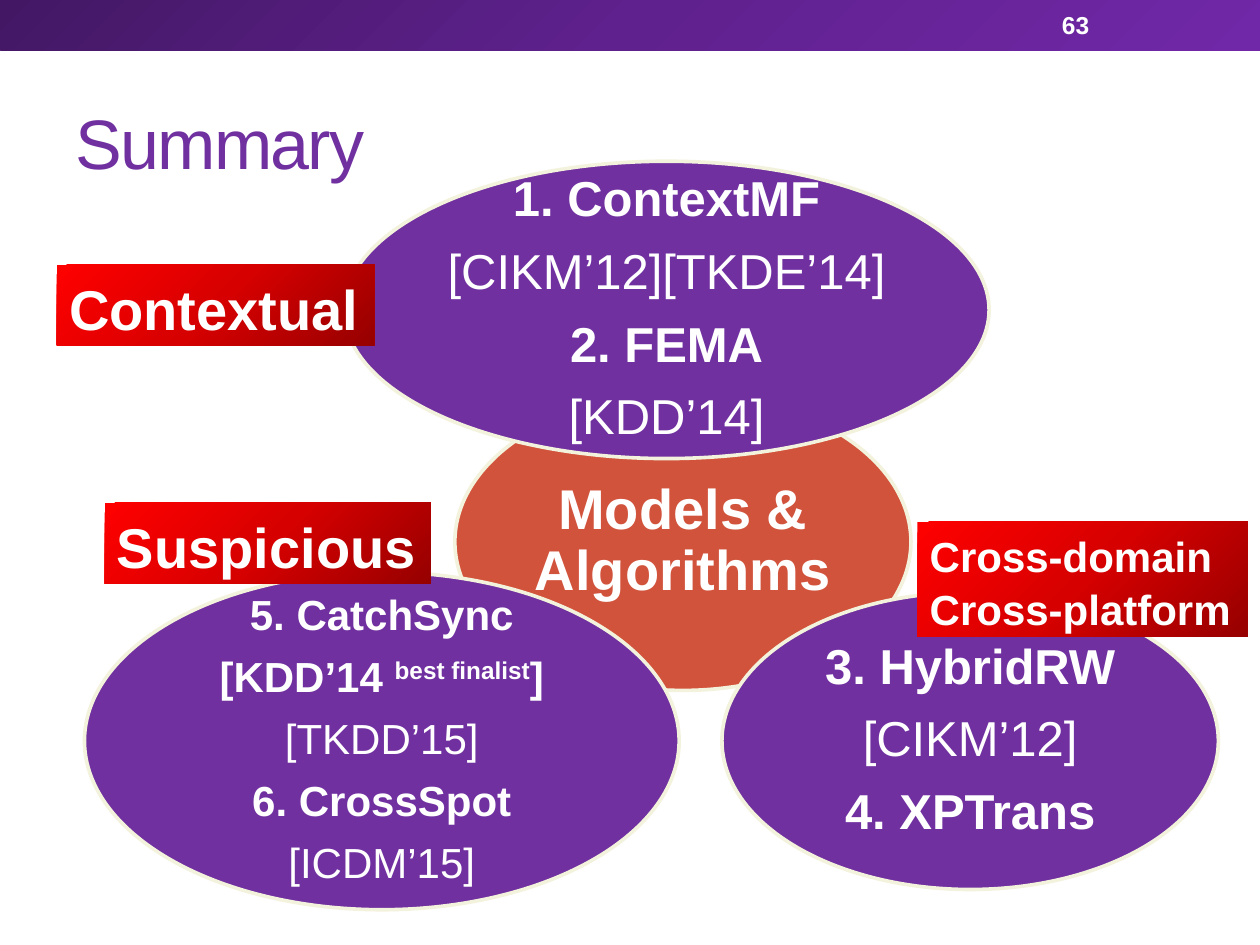
from lxml import etree
from pptx import Presentation, util as u
from pptx.dml.color import RGBColor
from pptx.enum import shapes, text
from pptx.oxml import parse_xml
from pptx.oxml.ns import nsdecls

COLORS = {"purple": "7030A0", "orange": "D2533C", "cream": "F3F2DC", "white": "FFFFFF"}
BAND_STOPS = ("431764", "5F218E", "7128A8")
LABEL_STOPS = ("970000", "D70000", "FF0000")
LINEAR = '<a:lin ang="2700000" scaled="0"/>'
CORNER = '<a:path path="circle"><a:fillToRect l="100000" t="100000"/></a:path>'
COLS, ROWS = 100, 75

prs = Presentation()
prs.slide_width, prs.slide_height = u.Inches(10), u.Inches(7.5)


def grid(box):
    """Turn columns and rows into slide lengths."""
    units = (prs.slide_width / COLS, prs.slide_height / ROWS) * 2
    return [u.Emu(round(n * unit)) for n, unit in zip(box, units)]


def rgb(name):
    return RGBColor.from_string(COLORS[name])


def style(r, color="white", **fmt):
    for name, value in {"name": "Arial", **fmt}.items():
        setattr(r.font, name, value)
    r.font.color.rgb = rgb(color)


def add_plain(s, kind, box):
    sp = s.shapes.add_shape(kind, *grid(box))
    sp.shadow.inherit = False
    sp.line.fill.background()
    sp.fill.solid()
    return sp


def set_gradient(sp, stops, direction):
    gs = "".join(f'<a:gs pos="{i * 50000}"><a:srgbClr val="{c}"/></a:gs>'
                 for i, c in enumerate(stops))
    grad = parse_xml(f'<a:gradFill {nsdecls("a")} rotWithShape="1">'
                     f'<a:gsLst>{gs}</a:gsLst>{direction}</a:gradFill>')
    props = sp.fill._xPr
    props.replace(props.solidFill, grad)


def add_header(s, box, number):
    """Gradient band with the page number."""
    left, top, width, height = box
    set_gradient(add_plain(s, shapes.MSO_SHAPE.RECTANGLE, box), BAND_STOPS, LINEAR)
    number_box = (left + width * 0.833, top + height * 0.05, width * 0.117, height * 0.9)
    tf = s.shapes.add_textbox(*grid(number_box)).text_frame
    tf.word_wrap = True
    tf.vertical_anchor = text.MSO_ANCHOR.MIDDLE
    r = tf.paragraphs[0].add_run()
    r.text = number
    style(r, size=u.Pt(14), bold=True)


def add_title(s, box, words):
    title = s.shapes.title
    title.left, title.top, title.width, title.height = grid(box)
    tf = title.text_frame
    tf.vertical_anchor = text.MSO_ANCHOR.MIDDLE
    p = tf.paragraphs[0]
    p.alignment = text.PP_ALIGN.LEFT
    r = p.add_run()
    r.text = words
    style(r, "purple", size=u.Pt(40))
    r.font._element.set("spc", "-100")


def add_oval(s, box, fill, size, lines):
    """Oval with centred lines; each line is (bold, runs), odd runs are raised."""
    sp = add_plain(s, shapes.MSO_SHAPE.OVAL, box)
    sp.fill.fore_color.rgb = rgb(fill)
    sp.line.color.rgb = rgb("cream")
    sp.line.width = u.Pt(2.08)
    tf = sp.text_frame
    frame = dict.fromkeys(("margin_left", "margin_right", "margin_top", "margin_bottom"),
                          u.Inches(0.04))
    frame.update(word_wrap=True, vertical_anchor=text.MSO_ANCHOR.MIDDLE)
    for name, value in frame.items():
        setattr(tf, name, value)
    for i, (bold, runs) in enumerate(lines):
        p = tf.add_paragraph() if i else tf.paragraphs[0]
        p.alignment, p.line_spacing = text.PP_ALIGN.CENTER, 0.9
        if i < len(lines) - 1:
            p.space_after = u.Pt(size * 0.4)
        for j, words in enumerate(runs):
            r = p.add_run()
            r.text = words
            style(r, size=u.Pt(size), bold=bold)
            if j % 2:
                r.font._element.set("baseline", "30000")


def add_label(s, box, size, lines):
    """Red gradient tag."""
    sp = add_plain(s, shapes.MSO_SHAPE.RECTANGLE, box)
    set_gradient(sp, LABEL_STOPS, CORNER)
    tf = sp.text_frame
    tf.word_wrap = False
    tf.auto_size = text.MSO_AUTO_SIZE.SHAPE_TO_FIT_TEXT
    tf.vertical_anchor = text.MSO_ANCHOR.TOP
    for i, words in enumerate(lines):
        p = tf.add_paragraph() if i else tf.paragraphs[0]
        p.alignment, p.line_spacing = text.PP_ALIGN.LEFT, 1.05
        r = p.add_run()
        r.text = words
        style(r, size=u.Pt(size), bold=True)


OVALS = [
    ((36.1, 31.2, 36.2, 23.6), "orange", 32, [(True, ["Models & Algorithms"])]),
    ((27.3, 12.8, 51.2, 23.6), "purple", 28, [
        (True, ["1. ContextMF"]), (False, ["[CIKM’12][TKDE’14]"]),
        (True, ["2. FEMA"]), (False, ["[KDD’14]"])]),
    ((57.3, 47, 39.4, 23.6), "purple", 28, [
        (True, ["3. HybridRW"]), (False, ["[CIKM’12]"]), (True, ["4. XPTrans"])]),
    ((6.7, 45.4, 47.2, 26.8), "purple", 24, [
        (True, ["5. CatchSync"]), (True, ["[KDD’14 ", "best finalist", "]"]),
        (False, ["[TKDD’15]"]), (True, ["6. CrossSpot"]), (False, ["[ICDM’15]"])]),
]
LABELS = [
    ((4.5, 21, 25.2, 6.4), 32, ["Contextual"]),
    ((72.8, 41.4, 26.2, 9.1), 24, ["Cross-domain", "Cross-platform"]),
    ((8.3, 39.9, 25.9, 6.4), 32, ["Suspicious"]),
]


def main():
    s = prs.slides.add_slide(prs.slide_layouts[5])
    add_header(s, (0, 0, COLS, 4), "63")
    add_title(s, (5, 5.8, 90, 10.8), "Summary")
    for oval in OVALS:
        add_oval(s, *oval)
    for label in LABELS:
        add_label(s, *label)
    prs.save("out.pptx")


if __name__ == "__main__":
    main()
